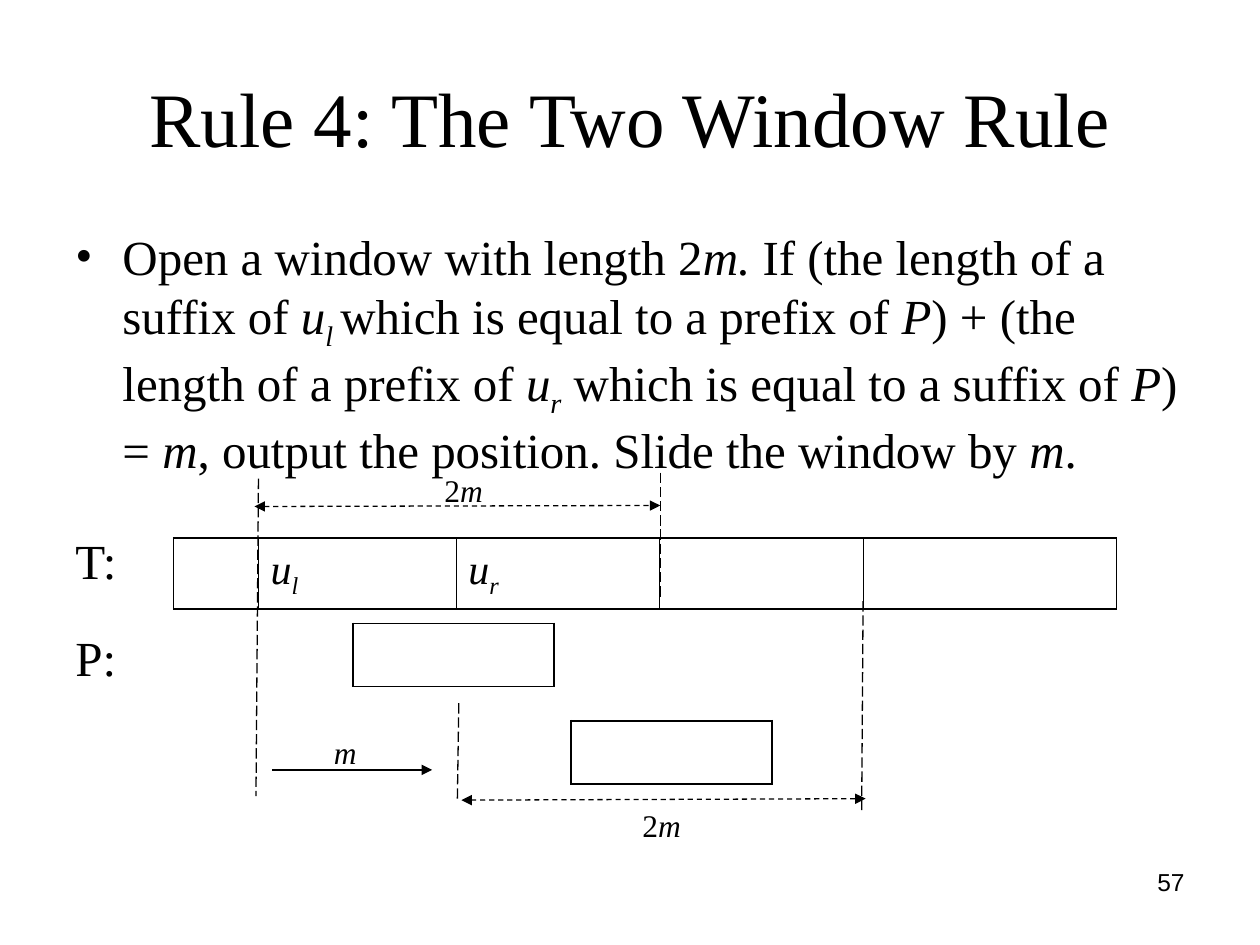
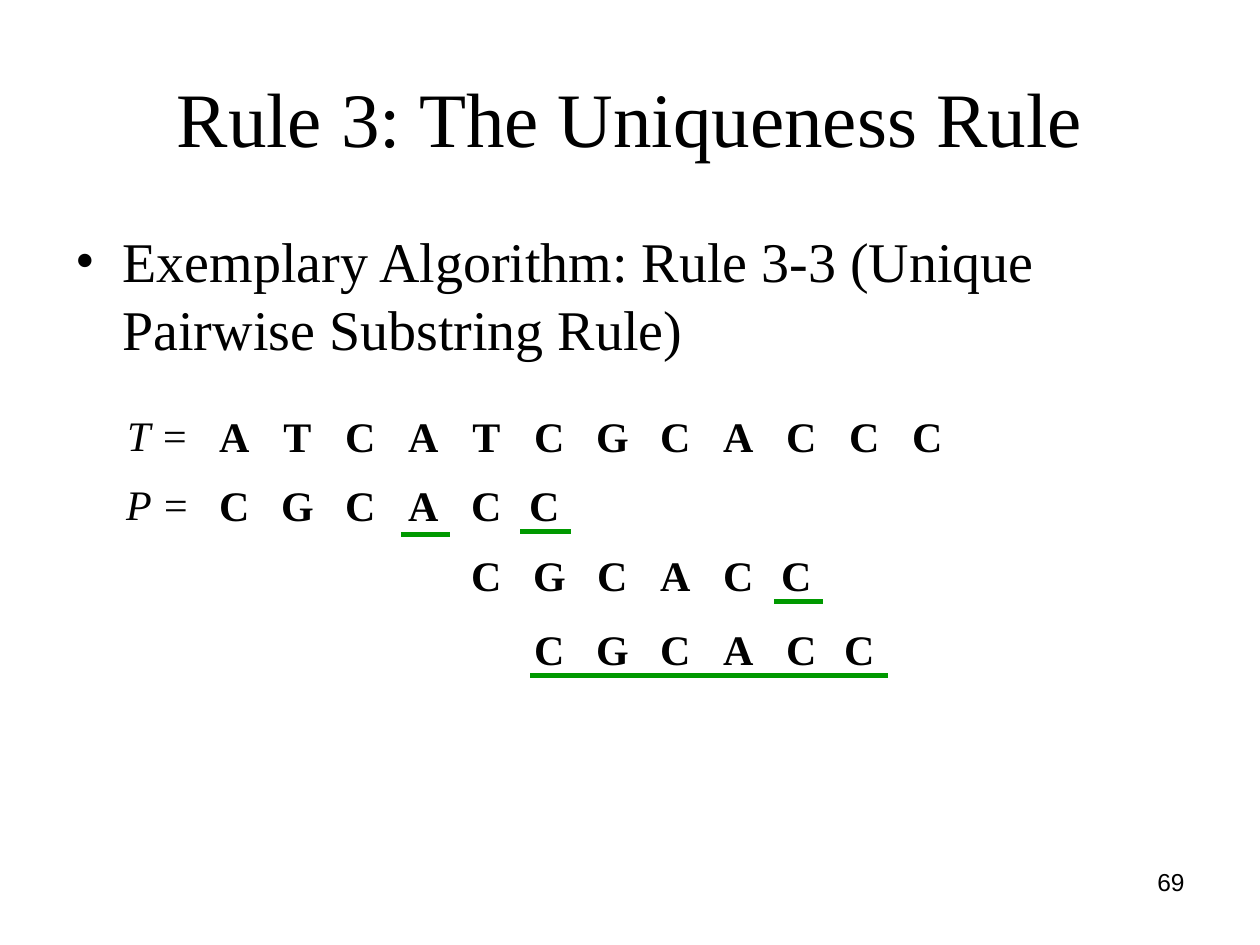
"""Build two slides on string matching rules."""
from lxml import etree
from pptx import Presentation
from pptx import util as u
from pptx.dml.color import RGBColor
from pptx.enum import dml, shapes, text
from pptx.oxml import ns

HUES = {"ink": "000000", "mark": "009900"}
SERIF, SANS = "Times New Roman", "Arial"
DASH = {"long": dml.MSO_LINE.LONG_DASH, "short": dml.MSO_LINE.DASH}
SIDES = {"l": text.PP_ALIGN.LEFT, "c": text.PP_ALIGN.CENTER, "r": text.PP_ALIGN.RIGHT}

WINDOW = {
    "title": "Rule 4: The Two Window Rule",
    "page": "57",
    "size": 28,
    "body": [
        {"runs": [
            ("Open a window with length 2", ""), ("m.", "i"),
            (" If (the length of a suffix of ", ""), ("u", "i"), ("l ", "is"),
            ("which is equal to a prefix of ", ""), ("P", "i"),
            (") + (the length of a prefix of ", ""), ("u", "i"), ("r", "is"),
            (" which is equal to a suffix of ", ""), ("P", "i"), (") = ", ""),
            ("m", "i"), (", output the position. Slide the window by ", ""),
            ("m", "i"), (".", "")], "bullet": True},
        {"runs": [("T:", "")], "before": 30},
        {"runs": [("P:", "")], "before": 21.5},
    ],
}
UNIQUE = {
    "title": "Rule 3: The Uniqueness Rule",
    "page": "69",
    "size": 32,
    "body": [{"runs": [("Exemplary Algorithm: Rule 3-3 (Unique Pairwise Substring Rule)", "")],
              "bullet": True}],
}

U_LEFT, U_RIGHT = [("u", "i"), ("l", "is")], [("u", "i"), ("r", "is")]
GRIDS = [
    (3.5, 10.85, 1.42, [(1.7, []), (3.99, U_LEFT), (4.11, U_RIGHT), (4.11, []), (5.1, [])]),
    (7.11, 12.57, 1.27, [(4.06, [])]),
    (11.51, 14.53, 1.27, [(4.06, [])]),
]
EDGES = [
    (5.21, 9.65, 5.16, 16.05), (13.31, 9.53, 13.31, 12.07),
    (9.22, 16.1, 9.25, 14.12), (17.4, 12.12, 17.37, 16.36),
]
SPANS = [(5.13, 10.21, 13.31, 10.19), (9.3, 16.13, 17.45, 16.1)]
SHIFT = (5.49, 15.52, 8.71, 15.52)
TWO_M, ONE_M = [("2", ""), ("m", "i")], [("m", "i")]
NOTES = [(8.71, 9.37, TWO_M), (6.48, 14.66, ONE_M), (12.7, 16.13, TWO_M)]

FIRST, PITCH, NUDGE = 4.09, 1.27, 0.1
ROWS = [
    ("T =", "ATCATCGCACCC", 0, 8.15),
    ("P =", "CGCACC", 0, 9.55),
    ("", "CGCACC", 4, 10.95),
    ("", "CGCACC", 5, 12.45),
]
MARKS = [(8.08, 10.77, 9.07), (10.49, 10.72, 11.51), (15.6, 12.12, 16.59), (10.69, 13.61, 17.91)]


def hue(name):
    return RGBColor.from_string(HUES[name])


def add_runs(par, runs, size, face=SERIF):
    for words, style in runs:
        run = par.add_run()
        run.text = words
        look = {"size": u.Pt(size), "name": face, "italic": "i" in style, "bold": "b" in style}
        for key, val in look.items():
            setattr(run.font, key, val)
        run.font.color.rgb = hue("ink")
        if "s" in style:
            run._r.get_or_add_rPr().set("baseline", "-25000")


def add_box(slide, box, runs, size, side="l", face=SERIF, mid=False):
    frame = slide.shapes.add_textbox(*map(u.Cm, box)).text_frame
    frame.word_wrap = True
    if mid:
        frame.vertical_anchor = text.MSO_ANCHOR.MIDDLE
    par = frame.paragraphs[0]
    par.alignment = SIDES[side]
    add_runs(par, runs, size, face)
    return frame


def add_body(slide, items, size):
    frame = add_box(slide, (1.27, 4.45, 22.86, 12.57), [], size)
    for num, item in enumerate(items):
        par = frame.add_paragraph() if num else frame.paragraphs[0]
        props = par._p.get_or_add_pPr()
        props.set("marL", str(u.Cm(0.95)))
        props.set("indent", str(-u.Cm(0.95)))
        if item.get("bullet"):
            etree.SubElement(props, ns.qn("a:buFont"), typeface=SERIF)
            etree.SubElement(props, ns.qn("a:buChar"), char="•")
        else:
            etree.SubElement(props, ns.qn("a:buNone"))
        if num:
            par.space_before = u.Pt(item["before"])
        add_runs(par, item["runs"], size)


def add_line(slide, ends, width=0.75, color="ink", dash=None, tips=()):
    link = slide.shapes.add_connector(shapes.MSO_CONNECTOR.STRAIGHT, *map(u.Cm, ends))
    link.line.width = u.Pt(width)
    link.line.color.rgb = hue(color)
    if dash:
        link.line.dash_style = DASH[dash]
    for tip in tips:
        etree.SubElement(link.line._get_or_add_ln(), ns.qn("a:" + tip), type="triangle")
    etree.SubElement(link._element.spPr, ns.qn("a:effectLst"))


def add_edges(cell, last, first):
    props = cell._tc.get_or_add_tcPr()
    widths = {"lnL": 1.08 if first else 0.45, "lnR": 1.08 if last else 0.45,
              "lnT": 1.08, "lnB": 1.08}
    for tag, width in widths.items():
        edge = etree.SubElement(props, ns.qn("a:" + tag), w=str(u.Pt(width)))
        fill = etree.SubElement(edge, ns.qn("a:solidFill"))
        etree.SubElement(fill, ns.qn("a:srgbClr"), val=HUES["ink"])


def add_grid(slide, left, top, high, cols):
    wide = sum(col[0] for col in cols)
    grid = slide.shapes.add_table(1, len(cols), *map(u.Cm, (left, top, wide, high))).table
    for flag in ("first_row", "horz_banding"):
        setattr(grid, flag, False)
    for num, (width, runs) in enumerate(cols):
        grid.columns[num].width = u.Cm(width)
        cell = grid.cell(0, num)
        cell.vertical_anchor = text.MSO_ANCHOR.MIDDLE
        add_edges(cell, num == len(cols) - 1, num == 0)
        cell.fill.background()
        add_runs(cell.text_frame.paragraphs[0], runs, 24)


def add_page(deck, data):
    slide = deck.slides.add_slide(deck.slide_layouts[6])
    add_box(slide, (1.27, 0.76, 22.86, 3.18), [(data["title"], "")], 44, "c", mid=True)
    add_body(slide, data["body"], data["size"])
    add_box(slide, (18.21, 17.35, 5.92, 1.32), [(data["page"], "")], 14, "r", SANS)
    return slide


def draw_window(slide):
    for grid in GRIDS:
        add_grid(slide, *grid)
    for edge in EDGES:
        add_line(slide, edge, dash="long")
    for span in SPANS:
        add_line(slide, span, dash="short", tips=("headEnd", "tailEnd"))
    add_line(slide, SHIFT, tips=("tailEnd",))
    for left, top, runs in NOTES:
        add_box(slide, (left, top, 1.6, 1.02), runs, 18)


def draw_unique(slide):
    for label, letters, start, top in ROWS:
        if label:
            add_box(slide, (2.18, top - 0.02, 2.01, 1.27), [(label, "i")], 24, "c")
        for num, char in enumerate(letters):
            tail = len(letters) == 6 and num == 5
            left = FIRST + PITCH * (start + num) - NUDGE * tail
            add_box(slide, (left, top, PITCH, 1.27), [(char, "b")], 24, "c")
    for left, top, right in MARKS:
        add_line(slide, (left, top, right, top), 3, "mark")


def main():
    deck = Presentation()
    deck.slide_width, deck.slide_height = u.Cm(25.4), u.Cm(19.05)
    draw_window(add_page(deck, WINDOW))
    draw_unique(add_page(deck, UNIQUE))
    deck.save("out.pptx")


if __name__ == "__main__":
    main()
